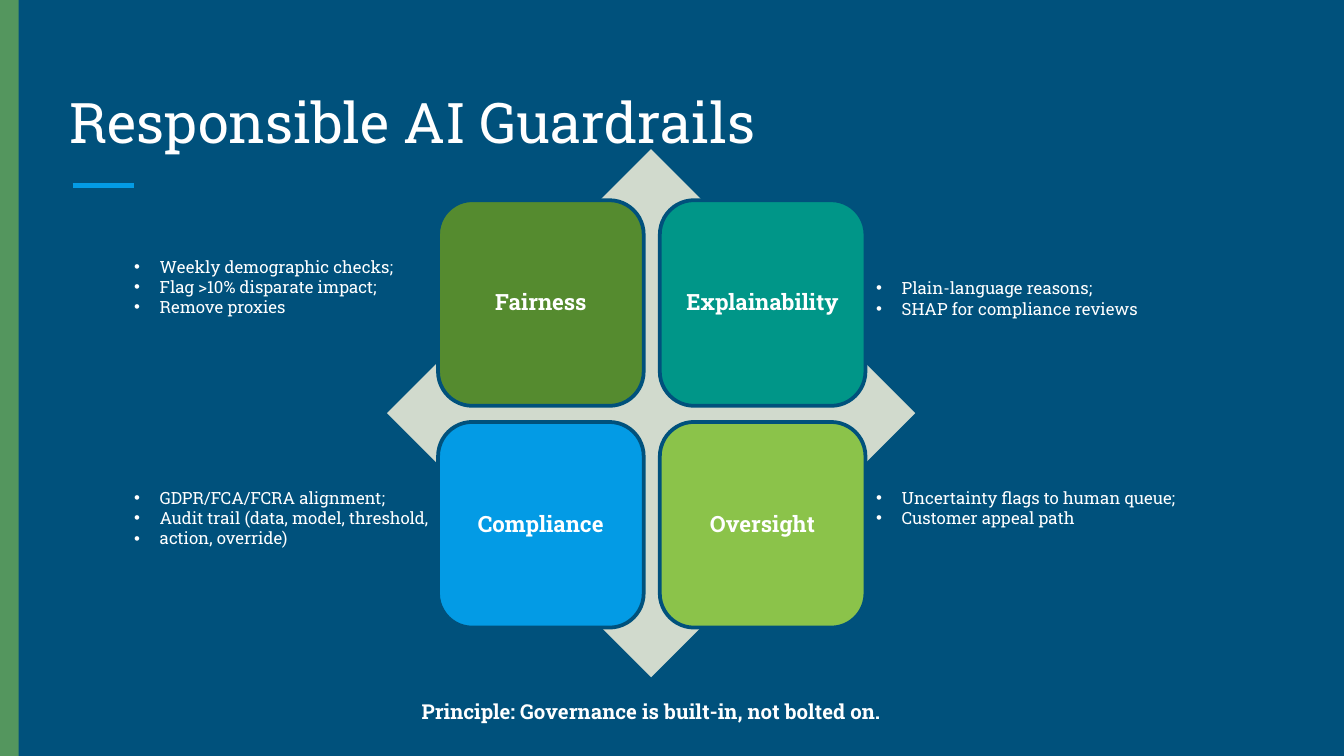
import pptx
import pptx.util
import pptx.dml.color
import pptx.enum.shapes
import pptx.enum.text
import pptx.oxml.ns
import lxml.etree

Inches, Pt = pptx.util.Inches, pptx.util.Pt
SHAPE = pptx.enum.shapes.MSO_SHAPE
ALIGN = pptx.enum.text.PP_ALIGN
ANCHOR = pptx.enum.text.MSO_ANCHOR
qn = pptx.oxml.ns.qn

# Content
FONT, WHITE, NAVY, BLUE = "Roboto Slab", "FFFFFF", "00517C", "039BE5"
TITLE = "Responsible AI Guardrails"
MOTTO = "Principle: Governance is built-in, not bolted on."
# label, fill, column, row, top of notes, notes
GUARDS = [
    ("Fairness", "558B2F", 0, 0, 1.86,
     ["Weekly demographic checks;", "Flag >10% disparate impact;", "Remove proxies"]),
    ("Explainability", "009688", 1, 0, 2.02,
     ["Plain-language reasons;", "SHAP for compliance reviews"]),
    ("Compliance", BLUE, 0, 1, 3.58,
     ["GDPR/FCA/FCRA alignment;", "Audit trail (data, model, threshold,",
      "action, override)"]),
    ("Oversight", "8BC34A", 1, 1, 3.58,
     ["Uncertainty flags to human queue;", "Customer appeal path"]),
]

# Layout: a 16:9 page
WIDE = 10
HIGH = WIDE * 9 / 16
LEFT, TOP, SIDE, STEP = 3.26, 1.49, 1.53, 1.65
NOTES = [(0.9, 2.42), (6.42, 3.15)]  # left and width per column
LINE, PAD = 0.15, 0.1  # height of a note line, box padding

deck = pptx.Presentation()
deck.slide_width, deck.slide_height = Inches(WIDE), Inches(HIGH)
slide = deck.slides.add_slide(deck.slide_layouts[6])


def color(code):
    return pptx.dml.color.RGBColor.from_string(code)


def write(frame, lines, size, bold=False, align=ALIGN.LEFT, bullet=False):
    frame.word_wrap = True
    for i, line in enumerate(lines):
        para = frame.paragraphs[0] if i == 0 else frame.add_paragraph()
        para.text = line
        para.alignment = align
        if bullet:
            props = para._p.get_or_add_pPr()
            props.set("marL", str(Inches(0.19)))
            props.set("indent", str(-Inches(0.19)))
            tint = lxml.etree.SubElement(props, qn("a:buClr"))
            lxml.etree.SubElement(tint, qn("a:srgbClr"), val=WHITE)
            lxml.etree.SubElement(props, qn("a:buFont"), typeface="Arial")
            lxml.etree.SubElement(props, qn("a:buChar"), char="•")
        font = para.font
        font.name, font.size, font.bold = FONT, Pt(size), bold
        font.color.rgb = color(WHITE)


def shape(kind, x, y, w, h, fill):
    item = slide.shapes.add_shape(kind, Inches(x), Inches(y), Inches(w), Inches(h))
    item.shadow.inherit = False
    item.fill.solid()
    item.fill.fore_color.rgb = color(fill)
    item.line.fill.background()
    return item


def text(x, y, w, h, lines, size, **look):
    box = slide.shapes.add_textbox(Inches(x), Inches(y), Inches(w), Inches(h))
    write(box.text_frame, lines, size, **look)
    return box.text_frame


def inset(frame, gap):
    frame.margin_left = frame.margin_right = Inches(gap)
    frame.margin_top = frame.margin_bottom = Inches(gap)


# Background, side bar, title and its rule
slide.background.fill.solid()
slide.background.fill.fore_color.rgb = color(NAVY)
rule = slide.shapes.add_connector(
    pptx.enum.shapes.MSO_CONNECTOR.STRAIGHT,
    Inches(0.54), Inches(1.38), Inches(1), Inches(1.38))
rule.line.color.rgb = color(BLUE)
rule.line.width = Pt(3)
lxml.etree.SubElement(rule._element.spPr, qn("a:effectLst"))
head = text(0.42, 0.5, 9.15, 0.75, [TITLE], 30)
head.vertical_anchor = ANCHOR.BOTTOM
inset(head, PAD)
shape(SHAPE.RECTANGLE, 0, 0, 0.14, HIGH, "54965E")

# Diamond behind four tiles, each with its notes
shape(SHAPE.DIAMOND, 2.88, 1.11, 3.93, 3.93, "D1DACD")
for label, fill, col, row, top, notes in GUARDS:
    tile = shape(SHAPE.ROUNDED_RECTANGLE, LEFT + col * STEP, TOP + row * STEP,
                 SIDE, SIDE, fill)
    tile.line.color.rgb = color(NAVY)
    tile.line.width = Pt(2)
    frame = tile.text_frame
    frame.vertical_anchor = ANCHOR.MIDDLE
    inset(frame, 0.05)
    write(frame, [label], 12, bold=True, align=ALIGN.CENTER)
    frame.paragraphs[0].line_spacing = 0.9
    x, w = NOTES[col]
    text(x, top, w, PAD + LINE * len(notes), notes, 9, bullet=True)

# Closing principle
text(2.47, 5.15, 4.75, 0.29, [MOTTO], 11, bold=True, align=ALIGN.CENTER)

deck.save("out.pptx")
